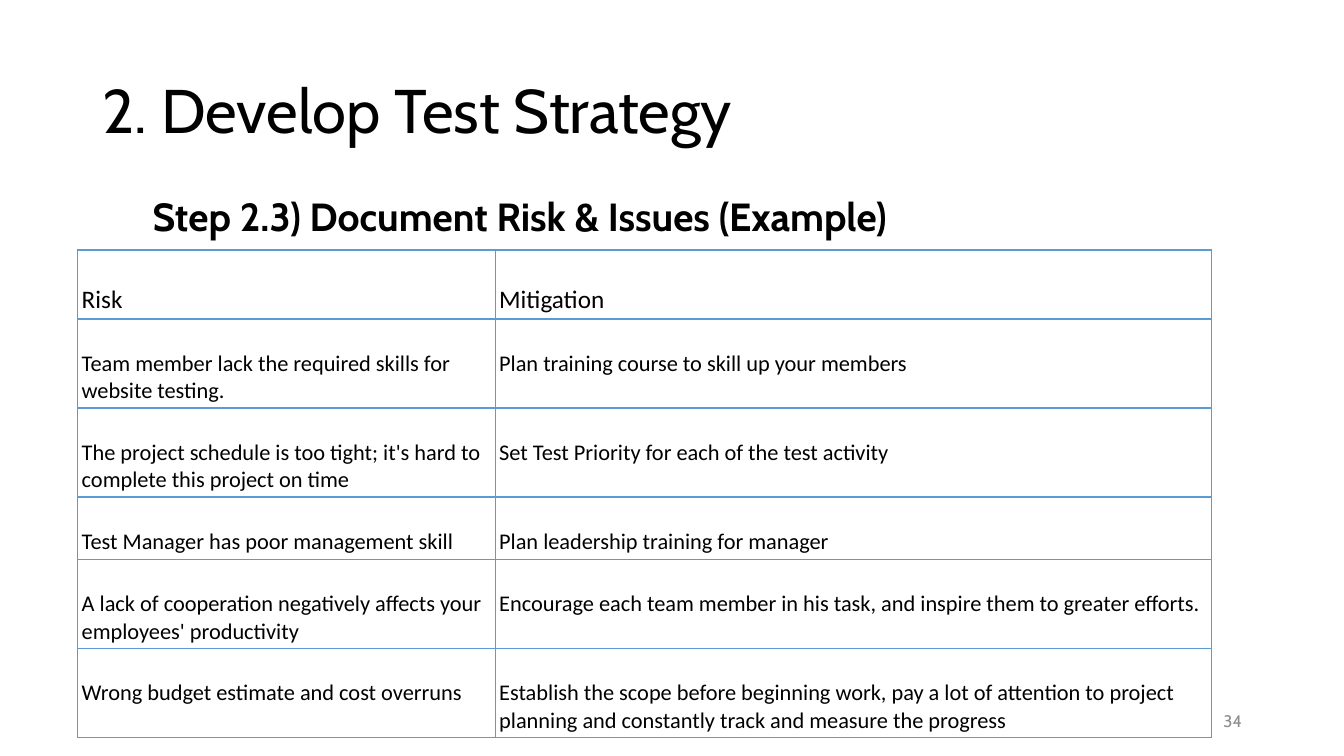
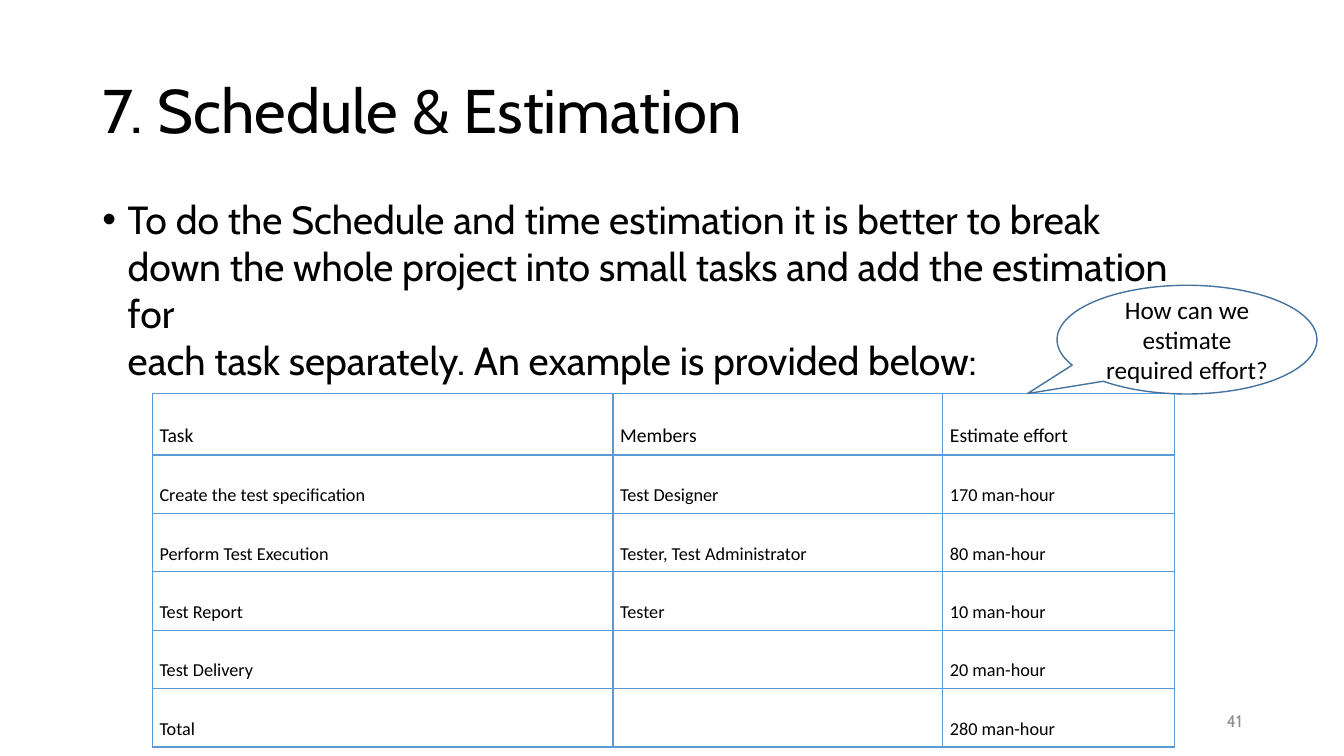
"""Builds two test planning slides, each with a heading, a lead line and a table."""
import pptx
import pptx.dml.color
import pptx.enum.shapes
import pptx.enum.text
import pptx.oxml
import pptx.oxml.ns
import pptx.util

Cm, Pt = pptx.util.Cm, pptx.util.Pt
ALIGN = pptx.enum.text.PP_ALIGN
ANCHOR = pptx.enum.text.MSO_ANCHOR

COLOURS = {"ink": "000000", "number": "8C8C8C", "grid": "5B9BD5",
           "paper": "FFFFFF", "bubble": "43739E"}
HEADING, BODY = "Cabin", "Calibri"
SLIDE_SIZE = (33.87, 19.05)
TITLE_AREA = (2.33, 1.02, 29.21, 3.68)
NUMBER_AREA = (23.93, 17.65, 7.62, 1.02)
LINE_FACTOR = 1.22

SLIDES = [
    {
        "title": "2. Develop Test Strategy",
        "number": "34",
        "lead": {"text": "Step 2.3) Document Risk & Issues (Example)",
                 "area": (3.6, 4.85, 26.67, 10.59),
                 "bold": True, "line_spacing": 0.9, "bullet": False},
        "table": {
            "corner": (1.96, 6.3), "inset": 0.1, "sizes": (18, 16),
            "columns": (10.52, 18.06),
            "heights": (1.52, 1.96, 1.96, 1.37, 1.96, 1.96),
            "rows": [
                ("Risk", "Mitigation"),
                ("Team member lack the required skills for website testing.",
                 "Plan\u00a0training course\u00a0to skill up your members"),
                ("The project schedule is too tight; it's hard to complete this project on time",
                 "Set\u00a0Test Priority\u00a0for each of the test activity"),
                ("Test Manager has poor management skill",
                 "Plan\u00a0leadership training\u00a0for manager"),
                ("A lack of cooperation negatively affects your \nemployees' productivity",
                 "Encourage\u00a0each team member in his task,\u00a0and inspire\u00a0them "
                 "to greater efforts."),
                ("Wrong budget estimate and cost overruns",
                 "Establish the\u00a0scope\u00a0before beginning work, pay a lot of attention "
                 "to project planning and constantly track and measure the progress"),
            ],
        },
        "callout": None,
    },
    {
        "title": "7. Schedule & Estimation",
        "number": "41",
        "lead": {"text": "To do the Schedule and time estimation it is better to break down "
                         "the whole project into small tasks and add the estimation for \v"
                         "each task separately. An example is provided below:",
                 "area": (2.33, 4.8, 27.94, 11.28),
                 "bold": False, "line_spacing": 1.0, "bullet": True},
        "table": {
            "corner": (3.84, 9.91), "inset": 0.18, "sizes": (14, 13),
            "columns": (11.61, 8.31, 5.84),
            "heights": (1.14, 1.37, 1.37, 1.37, 1.27, 1.37),
            "rows": [
                ("Task", "Members", "Estimate effort"),
                ("Create the test specification", "Test Designer", "170 man-hour"),
                ("Perform Test Execution", "Tester, Test Administrator", "80 man-hour"),
                ("Test Report", "Tester", "10 man-hour"),
                ("Test Delivery", "", "20 man-hour"),
                ("Total", "", "280 man-hour"),
            ],
        },
        "callout": {"text": "How can we estimate required effort?",
                    "area": (26.64, 7.19, 6.55, 2.74), "tail": (-0.614, 0.496)},
    },
]


def lengths(values):
    return [Cm(value) for value in values]


def colour(name):
    return pptx.dml.color.RGBColor.from_string(COLOURS[name])


def write(frame, text, font, ink="ink", **layout):
    frame.text = text
    for para in frame.paragraphs:
        for name, value in layout.items():
            setattr(para, name, value)
        for name, value in font.items():
            setattr(para.font, name, value)
        para.font.color.rgb = colour(ink)
        for span in para.runs:
            for name, value in font.items():
                setattr(span.font, name, value)
            span.font.color.rgb = colour(ink)


def add_text(page, area, text, font, anchor, **layout):
    frame = page.shapes.add_textbox(*lengths(area)).text_frame
    frame.word_wrap = True
    frame.vertical_anchor = anchor
    write(frame, text, font, **layout)
    return frame


def add_bullet(para):
    properties = para._p.get_or_add_pPr()
    properties.set("marL", str(Cm(0.64)))
    properties.set("indent", str(-Cm(0.64)))
    namespace = pptx.oxml.ns.nsdecls("a")
    for element in ('buFont {} typeface="Arial"', 'buChar {} char="\u2022"'):
        properties.append(pptx.oxml.parse_xml("<a:" + element.format(namespace) + "/>"))


def add_borders(cell):
    properties = cell._tc.get_or_add_tcPr()
    for place, side in enumerate("LRTB"):
        properties.insert(place, pptx.oxml.parse_xml(
            f'<a:ln{side} {pptx.oxml.ns.nsdecls("a")} w="{Pt(1)}"><a:solidFill>'
            f'<a:srgbClr val="{COLOURS["grid"]}"/></a:solidFill></a:ln{side}>'))


def add_table(page, corner, inset, sizes, columns, heights, rows):
    area = (*corner, sum(columns), sum(heights))
    table = page.shapes.add_table(len(rows), len(columns), *lengths(area)).table
    table.first_row = table.horz_banding = False
    for column, width in zip(table.columns, columns):
        column.width = Cm(width)
    for index, (row, height, texts) in enumerate(zip(table.rows, heights, rows)):
        row.height = Cm(height)
        size = sizes[min(index, 1)]
        for cell, text in zip(row.cells, texts):
            for side in ("left", "right", "bottom"):
                setattr(cell, f"margin_{side}", Cm(inset))
            cell.margin_top = Cm(inset) + int(Pt(size) * LINE_FACTOR)
            cell.fill.background()
            add_borders(cell)
            write(cell.text_frame, text, {"size": Pt(size), "name": BODY})


def add_callout(page, text, area, tail):
    bubble = page.shapes.add_shape(
        pptx.enum.shapes.MSO_SHAPE.OVAL_CALLOUT, *lengths(area))
    for index, value in enumerate(tail):
        bubble.adjustments[index] = value
    bubble.shadow.inherit = False
    bubble.fill.solid()
    bubble.fill.fore_color.rgb = colour("paper")
    bubble.line.color.rgb = colour("bubble")
    bubble.line.width = Pt(1)
    bubble.text_frame.word_wrap = True
    bubble.text_frame.vertical_anchor = ANCHOR.MIDDLE
    write(bubble.text_frame, text, {"size": Pt(18), "name": BODY}, alignment=ALIGN.CENTER)


def add_page(deck, content):
    page = deck.slides.add_slide(deck.slide_layouts[6])
    add_text(page, TITLE_AREA, content["title"], {"size": Pt(44), "name": HEADING},
             ANCHOR.MIDDLE, line_spacing=0.9)
    lead = content["lead"]
    frame = add_text(page, lead["area"], lead["text"],
                     {"size": Pt(28), "name": HEADING, "bold": lead["bold"]}, ANCHOR.TOP,
                     line_spacing=lead["line_spacing"], space_before=Pt(10))
    if lead["bullet"]:
        add_bullet(frame.paragraphs[0])
    add_text(page, NUMBER_AREA, content["number"], {"size": Pt(12), "name": HEADING},
             ANCHOR.MIDDLE, ink="number", alignment=ALIGN.RIGHT)
    add_table(page, **content["table"])
    if content["callout"]:
        add_callout(page, **content["callout"])


deck = pptx.Presentation()
deck.slide_width, deck.slide_height = lengths(SLIDE_SIZE)
for content in SLIDES:
    add_page(deck, content)
deck.save("out.pptx")
